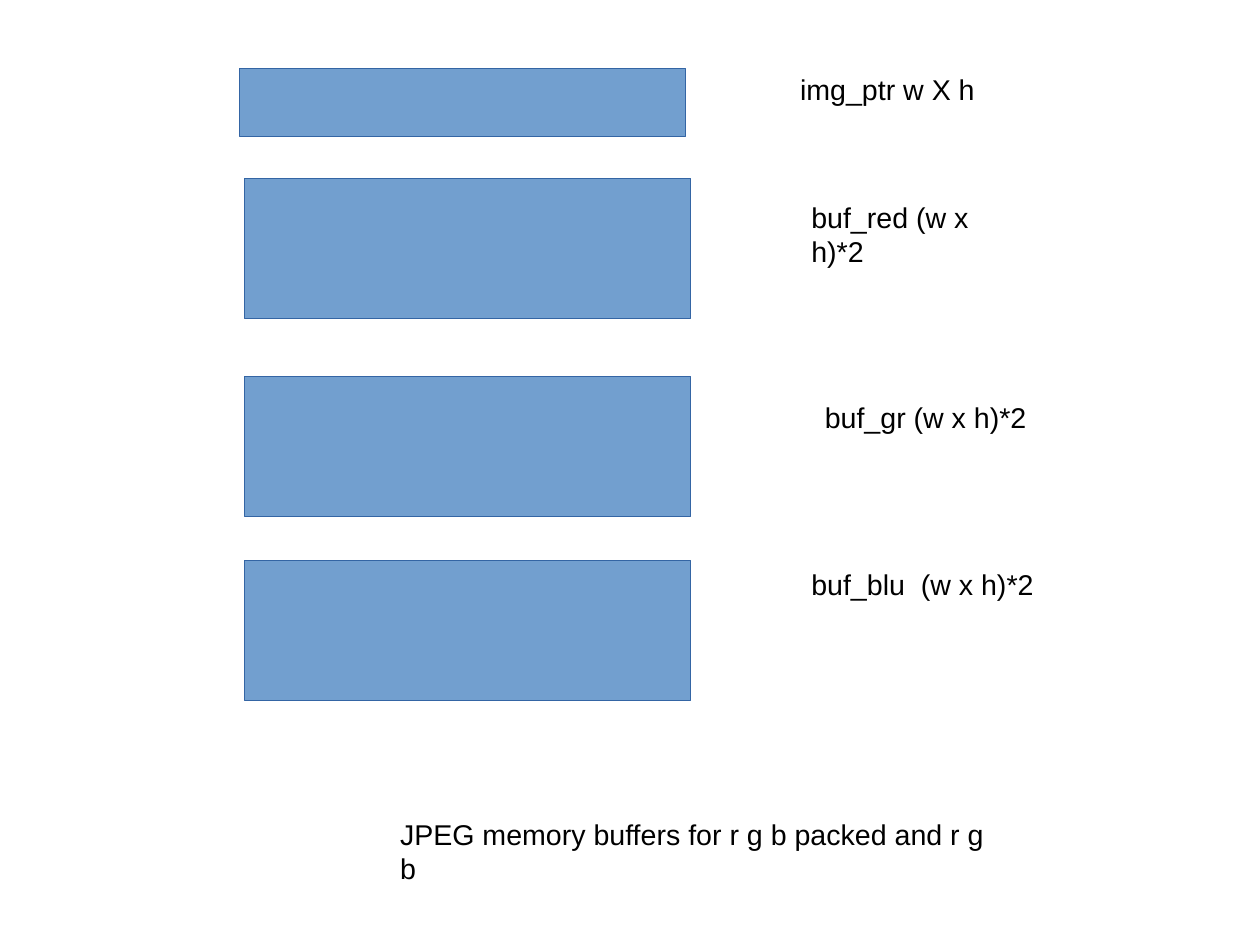
from typing import NamedTuple

from pptx import Presentation
from pptx.dml.color import RGBColor
from pptx.enum.shapes import MSO_SHAPE
from pptx.enum.text import MSO_ANCHOR, MSO_AUTO_SIZE, PP_ALIGN
from pptx.slide import Slide
from pptx.util import Cm, Pt

COLORS = {"fill": "729FCF", "edge": "3465A4", "text": "000000"}
FONT = "Arial"
BAR_WIDTH = 9.91


class Bar(NamedTuple):
    left: float
    top: float
    height: float


class Label(NamedTuple):
    text: str
    left: float
    top: float
    width: float
    height: float
    wrap: bool


# Memory blocks, in cm
BARS = [
    Bar(5.33, 1.52, 1.52),
    *(Bar(5.44, top, 3.12) for top in (3.96, 8.36, 12.45)),
]

# Block names and caption, in cm
LABELS = [
    Label("img_ptr w X h", 17.53, 1.47, 4.39, 0.97, False),
    Label("buf_red (w x h)*2", 17.78, 4.32, 5.33, 0.97, False),
    Label("buf_gr (w x h)*2", 18.08, 8.76, 5.28, 1.4, True),
    Label("buf_blu  (w x h)*2", 17.78, 12.47, 6.1, 1.24, True),
    Label("JPEG memory buffers for r g b packed and r g b",
          8.64, 18.03, 14, 0.97, False),
]


def color(name: str) -> RGBColor:
    return RGBColor.from_string(COLORS[name])


def add_bar(slide: Slide, bar: Bar) -> None:
    shape = slide.shapes.add_shape(
        MSO_SHAPE.RECTANGLE, Cm(bar.left), Cm(bar.top),
        Cm(BAR_WIDTH), Cm(bar.height))
    shape.shadow.inherit = False
    shape.fill.solid()
    shape.fill.fore_color.rgb = color("fill")
    shape.line.color.rgb = color("edge")
    shape.line.width = Pt(0)


def add_text(slide: Slide, text: str, *, left: float, top: float,
             width: float, height: float, wrap: bool = True,
             size: float = 18, ink: str = "text") -> None:
    box = slide.shapes.add_textbox(Cm(left), Cm(top), Cm(width), Cm(height))
    frame = box.text_frame
    frame.word_wrap = wrap
    frame.auto_size = MSO_AUTO_SIZE.SHAPE_TO_FIT_TEXT
    frame.vertical_anchor = MSO_ANCHOR.TOP
    para = frame.paragraphs[0]
    para.alignment = PP_ALIGN.LEFT
    run = para.add_run()
    run.text = text
    run.font.name = FONT
    run.font.size = Pt(size)
    run.font.color.rgb = color(ink)


def main() -> None:
    deck = Presentation()
    deck.slide_width, deck.slide_height = Cm(28), Cm(21)
    slide = deck.slides.add_slide(deck.slide_layouts[6])

    for bar in BARS:
        add_bar(slide, bar)
    for label in LABELS:
        add_text(slide, **label._asdict())

    deck.save("out.pptx")


if __name__ == "__main__":
    main()
